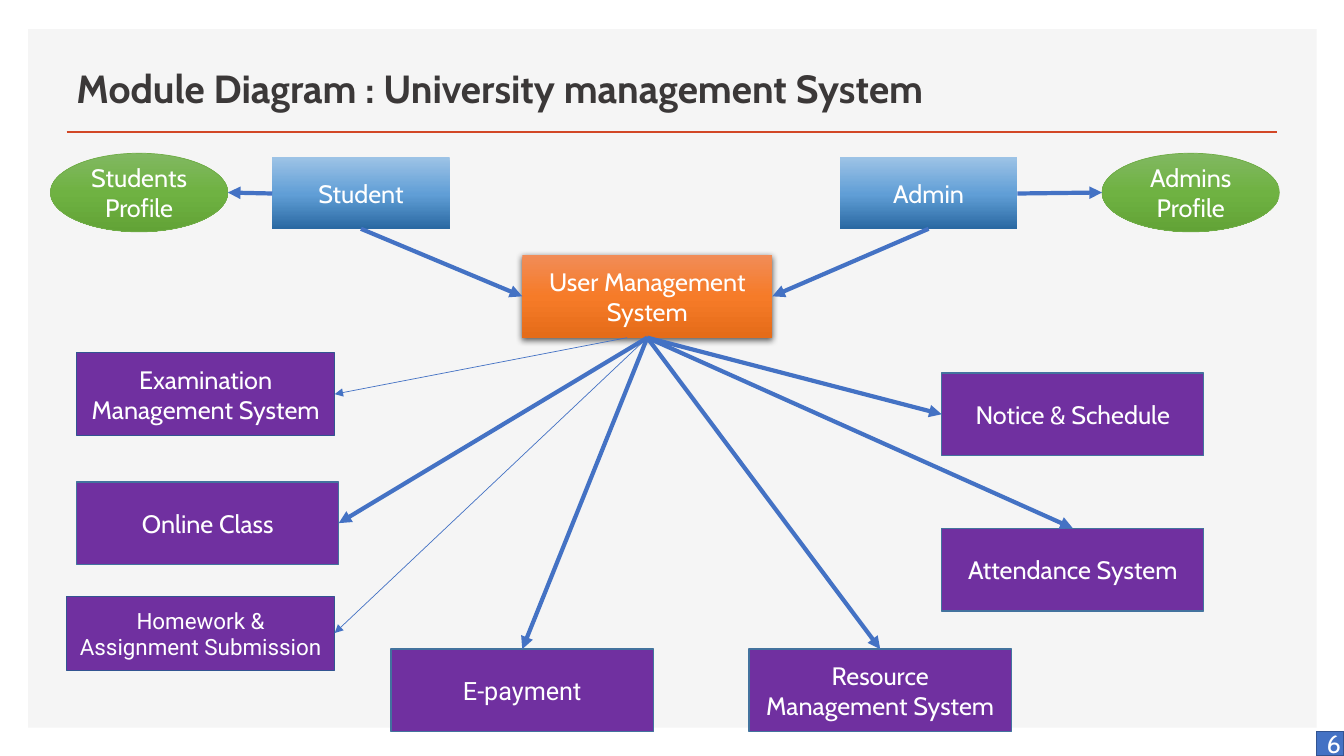
from copy import deepcopy
from dataclasses import dataclass

from lxml import etree
from pptx import Presentation
from pptx import util as u
from pptx.dml.color import RGBColor
from pptx.enum import shapes, text
from pptx.oxml.ns import qn

PX = 9144  # EMU per px, 100 px to the inch
BLUE, PURPLE, WHITE = "4472C4", "7030A0", "FFFFFF"
STEEL, NAVY, GREEN = "43739E", "325491", "70AD47"
SKY_FADE = ((0, "9DC3E6"), (0.52, "609ED6"), (1, "2A69A2"))
GREEN_FADE = ((0, "81B861"), (0.5, "6FB242"), (1, "62A336"))
ORANGE_FADE = ((0, "F18C57"), (0.5, "F67B28"), (1, "E56C19"))
RECT, OVAL = shapes.MSO_SHAPE.RECTANGLE, shapes.MSO_SHAPE.OVAL


@dataclass(frozen=True)
class Box:
    label: str
    left: int
    top: int
    width: int
    height: int
    fill: str | tuple = PURPLE
    line: str | None = STEEL
    line_width: float = 1
    kind: int = RECT
    font: str = "Cabin"
    size: int = 18

    def point(self, side: str) -> tuple[int, int]:
        """Middle of the named edge, in px."""
        across, down = {"top": (0.5, 0), "bottom": (0.5, 1),
                        "left": (0, 0.5), "right": (1, 0.5)}[side]
        return (round(self.left + across * self.width),
                round(self.top + down * self.height))


@dataclass(frozen=True)
class Arrow:
    start: str
    start_side: str
    end: str
    end_side: str
    width: float = 3
    start_shift: int = 0


BOXES = {
    "panel": Box("", 28, 29, 1278, 693, "F5F5F5", None),
    "users": Box("User Management System", 518, 253, 248, 82, ORANGE_FADE, None),
    "student": Box("Student", 270, 156, 176, 71, SKY_FADE, None),
    "admin": Box("Admin", 833, 156, 176, 71, SKY_FADE, None),
    "online": Box("Online Class", 76, 478, 260, 82),
    "payment": Box("E-payment", 388, 644, 260, 82, font="Roboto"),
    "attendance": Box("Attendance System", 934, 524, 260, 82),
    "notice": Box("Notice & Schedule", 934, 370, 260, 82),
    "student profile": Box("Students Profile", 50, 152, 176, 78, GREEN_FADE, GREEN, 0.5, OVAL),
    "admin profile": Box("Admins Profile", 1093, 152, 176, 78, GREEN_FADE, GREEN, 0.5, OVAL),
    "resource": Box("Resource Management System", 743, 644, 260, 82),
    "page number": Box("6", 1306, 726, 27, 24, BLUE, NAVY),
    "examination": Box("Examination Management System", 76, 350, 256, 82, line=NAVY),
    "homework": Box("Homework & Assignment Submission", 66, 592, 266, 73,
                    line=NAVY, font="Roboto", size=16),
}

ARROWS = [
    Arrow("admin", "bottom", "users", "right"),
    Arrow("student", "bottom", "users", "left"),
    Arrow("student", "left", "student profile", "right"),
    Arrow("admin", "right", "admin profile", "left"),
    Arrow("users", "bottom", "online", "right"),
    Arrow("users", "bottom", "notice", "left"),
    Arrow("users", "bottom", "payment", "top"),
    Arrow("users", "bottom", "attendance", "top"),
    Arrow("users", "bottom", "resource", "top"),
    Arrow("users", "bottom", "homework", "right", 0.5),
    Arrow("users", "bottom", "examination", "right", 0.5, -20),
]


def color(value: str) -> RGBColor:
    return RGBColor.from_string(value)


def emu(*lengths: int) -> list[int]:
    return [length * PX for length in lengths]


def write(frame, label: str, font: str, size: int, ink: str, **formats) -> None:
    frame.word_wrap = True
    frame.vertical_anchor = text.MSO_ANCHOR.MIDDLE
    span = frame.paragraphs[0].add_run()
    span.text = label
    span.font.color.rgb = color(ink)
    for name, value in {"name": font, "size": u.Pt(size), **formats}.items():
        setattr(span.font, name, value)


def paint(shape, fill: str | tuple) -> None:
    """Fill with one colour, or with stops running from top to bottom."""
    if isinstance(fill, str):
        shape.fill.solid()
        shape.fill.fore_color.rgb = color(fill)
        return
    shape.fill.gradient()
    shape.fill.gradient_angle = 270
    stop_list = shape._element.spPr.find(qn("a:gradFill")).find(qn("a:gsLst"))
    while len(stop_list) < len(fill):
        stop_list.append(deepcopy(stop_list[0]))
    for stop, (position, value) in zip(shape.fill.gradient_stops, fill):
        stop.position = position
        stop.color.rgb = color(value)


def add_box(page, box: Box):
    shape = page.shapes.add_shape(
        box.kind, *emu(box.left, box.top, box.width, box.height))
    shape.shadow.inherit = False
    paint(shape, box.fill)
    if box.line:
        shape.line.color.rgb = color(box.line)
        shape.line.width = u.Pt(box.line_width)
    else:
        shape.line.fill.background()
    if box.label:
        write(shape.text_frame, box.label, box.font, box.size, WHITE)
        shape.text_frame.paragraphs[0].alignment = text.PP_ALIGN.CENTER
    return shape


def add_drop_shadow(shape) -> None:
    effects = shape._element.spPr.find(qn("a:effectLst"))
    shadow = etree.SubElement(
        effects, qn("a:outerShdw"), blurRad=str(u.Pt(4.5)),
        dist=str(u.Pt(1.5)), dir="5400000", algn="ctr", rotWithShape="0")
    shade = etree.SubElement(shadow, qn("a:srgbClr"), val="000000")
    etree.SubElement(shade, qn("a:alpha"), val="63000")


def add_line(page, start: tuple[int, int], end: tuple[int, int],
             ink: str, width: float):
    line = page.shapes.add_connector(
        shapes.MSO_CONNECTOR.STRAIGHT, *emu(*start, *end))
    line.line.color.rgb = color(ink)
    line.line.width = u.Pt(width)
    etree.SubElement(line._element.spPr, qn("a:effectLst"))
    return line


def add_arrow(page, arrow: Arrow) -> None:
    x, y = BOXES[arrow.start].point(arrow.start_side)
    end = BOXES[arrow.end].point(arrow.end_side)
    line = add_line(page, (x + arrow.start_shift, y), end, BLUE, arrow.width)
    etree.SubElement(line.line._get_or_add_ln(), qn("a:tailEnd"), type="triangle")


def add_title(page) -> None:
    title = page.shapes.add_textbox(*emu(66, 49, 1201, 82))
    write(title.text_frame, "Module Diagram : University management System",
          "Cabin", 28, "3B3838", bold=True)
    title.text_frame.paragraphs[0].line_spacing = 0.9


def main() -> None:
    deck = Presentation()
    deck.slide_width, deck.slide_height = emu(1333, 750)
    page = deck.slides.add_slide(deck.slide_layouts[6])
    drawn = {name: add_box(page, box) for name, box in BOXES.items()}
    add_drop_shadow(drawn["users"])
    add_line(page, (66, 131), (1267, 131), "D24726", 2)
    add_title(page)
    for arrow in ARROWS:
        add_arrow(page, arrow)
    deck.save("out.pptx")


if __name__ == "__main__":
    main()
